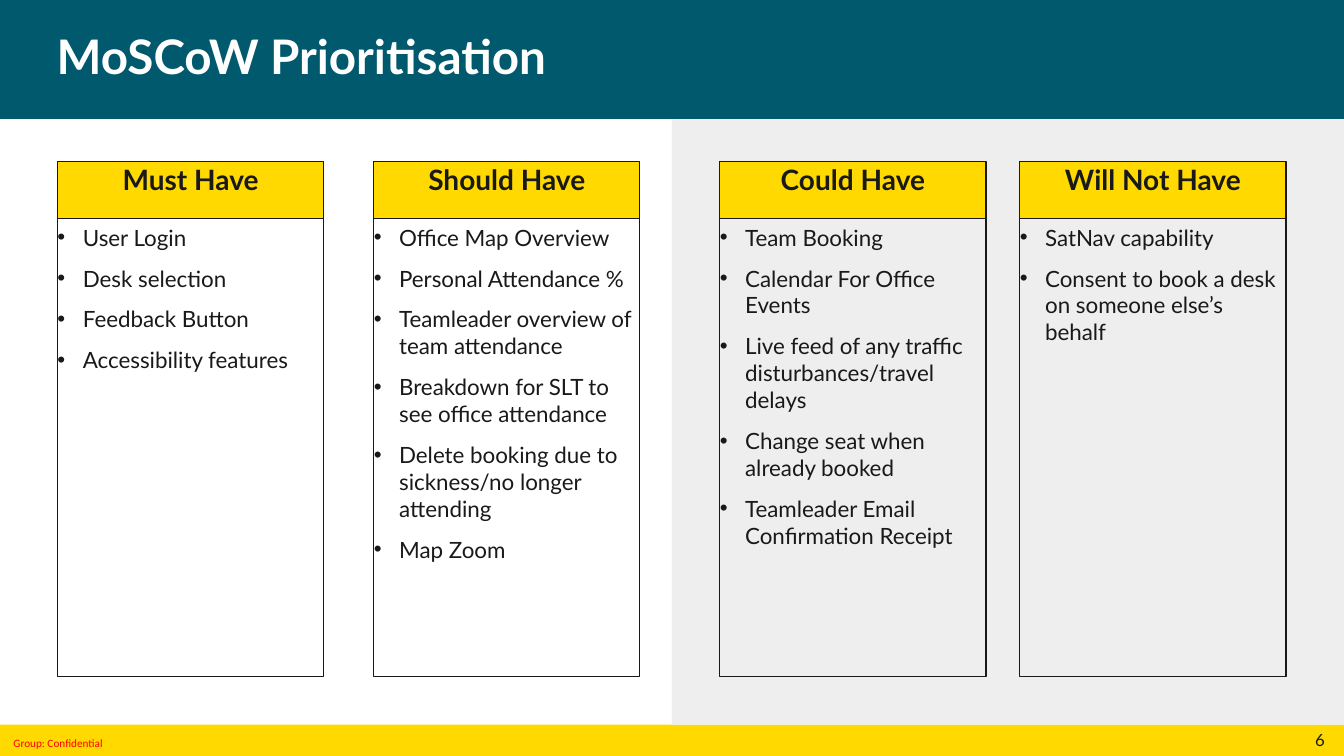
from lxml.etree import SubElement
from pptx import Presentation
from pptx.dml.color import RGBColor
from pptx.enum.shapes import MSO_SHAPE as Shape
from pptx.enum.text import MSO_ANCHOR as Anchor, MSO_AUTO_SIZE as Fit, PP_ALIGN as Align
from pptx.oxml.ns import qn
from pptx.util import Cm, Pt

TITLE = "MoSCoW Prioritisation"
LABEL = "Group: Confidential"
PAGE = "6"
COLUMNS = [
    ("Must Have", 1.45, [
        "User Login", "Desk selection", "Feedback Button", "Accessibility features"]),
    ("Should Have", 9.42, [
        "Office Map Overview", "Personal Attendance %",
        "Teamleader overview of team attendance",
        "Breakdown for SLT to see office attendance",
        "Delete booking due to sickness/no longer attending", "Map Zoom"]),
    ("Could Have", 18.14, [
        "Team Booking", "Calendar For Office Events",
        "Live feed of any traffic disturbances/travel delays",
        "Change seat when already booked",
        "Teamleader Email Confirmation Receipt"]),
    ("Will Not Have", 25.7, [
        "SatNav capability", "Consent to book a desk on someone else’s behalf"]),
]
COLORS = {"teal": "00596C", "yellow": "FFD900", "grey": "EEEEEE",
          "ink": "191919", "white": "FFFFFF", "red": "FF0000"}

WIDE, HIGH = 33.87, 19.05
BAND, FOOT = 3.0, 0.79
FLOOR = HIGH - FOOT
COL, TOP, HEAD, BODY = 6.71, 4.06, 1.45, 11.53
INDENT = 0.64


def tint(name):
    return RGBColor.from_string(COLORS[name])


def add_rect(slide, left, top, width, height, fill=None, line=None):
    box = slide.shapes.add_shape(Shape.RECTANGLE, Cm(left), Cm(top), Cm(width), Cm(height))
    box.shadow.inherit = False
    if fill:
        box.fill.solid()
        box.fill.fore_color.rgb = tint(fill)
    else:
        box.fill.background()
    if line:
        box.line.color.rgb = tint(line)
        box.line.width = Pt(0.75)
    else:
        box.line.fill.background()
    return box


def add_bullet(para):
    props = para._p.get_or_add_pPr()
    props.set("marL", str(Cm(INDENT)))
    props.set("indent", str(-Cm(INDENT)))
    SubElement(props, qn("a:buFont"), typeface="Arial")
    SubElement(props, qn("a:buChar"), char="•")


def put_text(shape, lines, size, color="ink", font="Lato", bold=False, align=Align.LEFT,
             anchor=Anchor.TOP, leading=1.0, gap=0, bullets=False, inset=0.13, wrap=True):
    frame = shape.text_frame
    frame.auto_size = Fit.NONE
    frame.word_wrap = wrap
    frame.vertical_anchor = anchor
    frame.margin_left = frame.margin_right = 0
    frame.margin_top = frame.margin_bottom = Cm(inset)
    for i, line in enumerate(lines):
        para = frame.add_paragraph() if i else frame.paragraphs[0]
        para.text = line
        para.alignment = align
        para.line_spacing = leading
        para.space_before = Pt(gap if i else 0)
        if bullets:
            add_bullet(para)
        face = para.runs[0].font
        face.name, face.size, face.bold = font, Pt(size), bold
        face.color.rgb = tint(color)


def add_text(slide, left, top, width, height, text, size, **style):
    box = slide.shapes.add_textbox(Cm(left), Cm(top), Cm(width), Cm(height))
    put_text(box, [text], size, anchor=Anchor.MIDDLE, **style)


def add_title(slide):
    title = slide.shapes.title
    title.left, title.top, title.width, title.height = Cm(1.43), Cm(0), Cm(31), Cm(BAND)
    put_text(title, [TITLE], 34, "white", bold=True, anchor=Anchor.MIDDLE, leading=0.9)
    # Bring the title in front of its band
    title.element.getparent().append(title.element)


def main():
    deck = Presentation()
    deck.slide_width, deck.slide_height = Cm(WIDE), Cm(HIGH)
    slide = deck.slides.add_slide(deck.slide_layouts[5])

    add_rect(slide, 0, FLOOR, WIDE, FOOT, "yellow")
    add_rect(slide, 0, 0, WIDE, BAND, "teal")
    add_rect(slide, WIDE / 2, BAND, WIDE / 2, FLOOR - BAND, "grey")
    add_title(slide)
    add_text(slide, 0.34, 18.42, 2.5, 0.63, LABEL, 8,
             color="red", font="Calibri", inset=0, wrap=False)
    add_text(slide, 32.66, FLOOR, 1.21, FOOT, PAGE, 12, align=Align.CENTER)

    for name, left, items in COLUMNS:
        head = add_rect(slide, left, TOP, COL, HEAD, "yellow", "ink")
        put_text(head, [name], 20, bold=True, align=Align.CENTER, leading=0.9)
        body = add_rect(slide, left, TOP + HEAD, COL, BODY, line="ink")
        put_text(body, items, 16, gap=10, bullets=True)

    deck.save("out.pptx")


if __name__ == "__main__":
    main()
